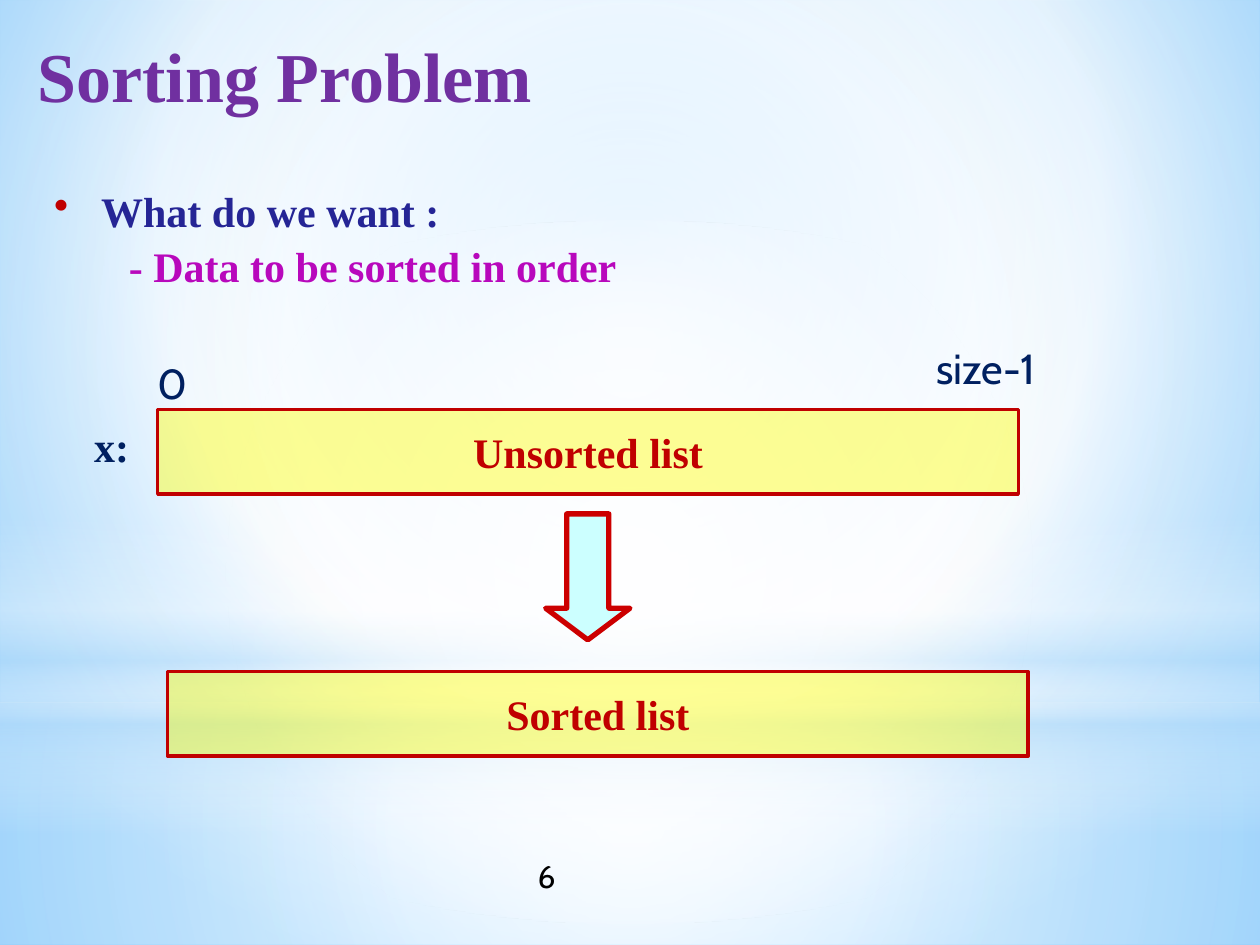
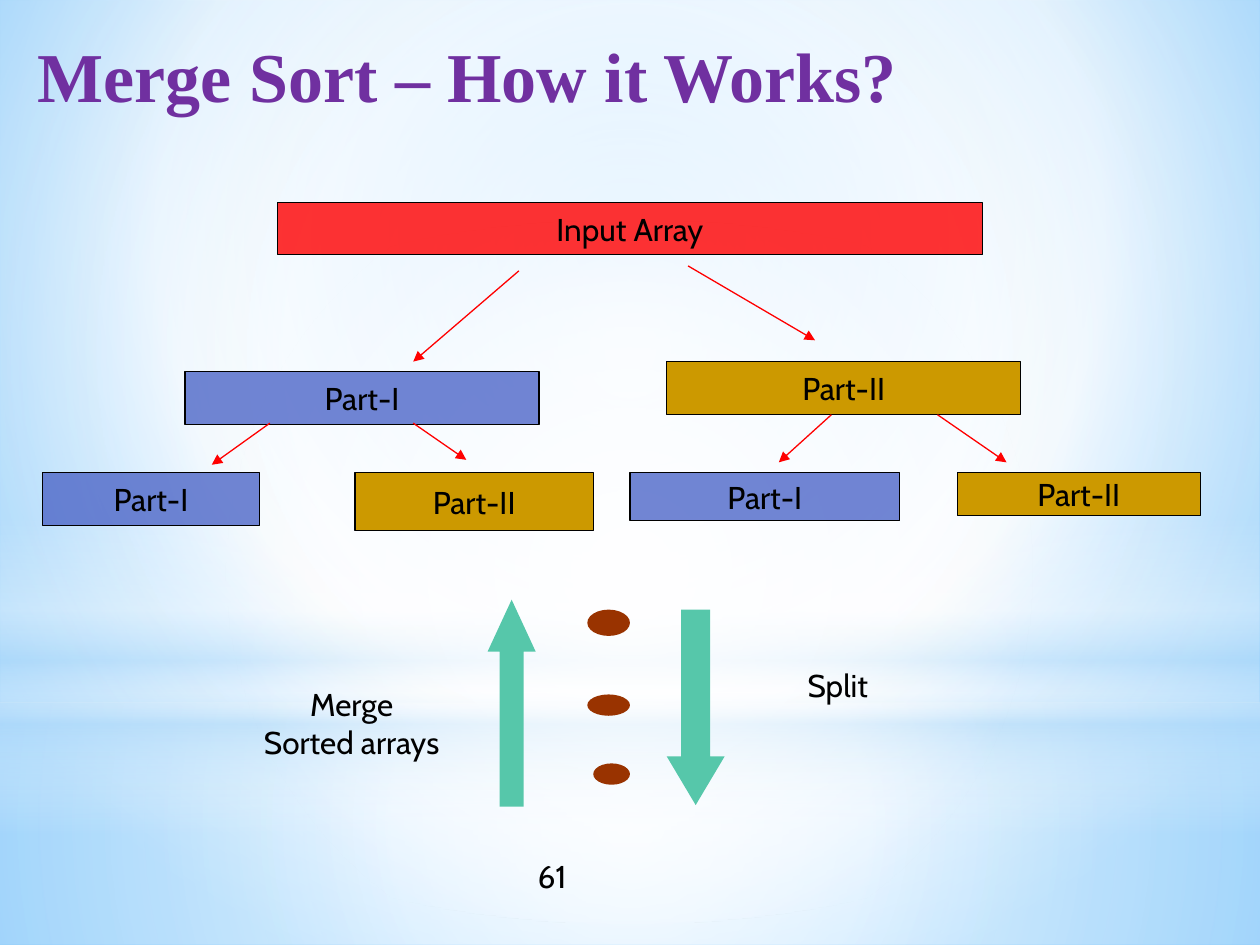
from dataclasses import dataclass
from typing import Optional

import lxml.etree
import pptx
import pptx.dml.color
import pptx.dml.fill
import pptx.enum.shapes
import pptx.enum.text
import pptx.oxml.ns
import pptx.presentation
import pptx.shapes.autoshape
import pptx.slide
import pptx.text.text
import pptx.util

Cm = pptx.util.Cm
Pt = pptx.util.Pt
RGBColor = pptx.dml.color.RGBColor
MSO_SHAPE = pptx.enum.shapes.MSO_SHAPE
PP_ALIGN = pptx.enum.text.PP_ALIGN
MSO_ANCHOR = pptx.enum.text.MSO_ANCHOR
qn = pptx.oxml.ns.qn

WHITE = RGBColor(0xFF, 0xFF, 0xFF)
BLACK = RGBColor(0, 0, 0)
SKY = RGBColor(0x9E, 0xD5, 0xFF)
DEEP_SKY = RGBColor(0x5B, 0xB9, 0xFF)
MIST = RGBColor(0xB4, 0xDC, 0xFA)
PURPLE = RGBColor(0x70, 0x30, 0xA0)
CRIMSON = RGBColor(0xC0, 0, 0)
ARROW_EDGE = RGBColor(0xCC, 0, 0)
ARROW_FILL = RGBColor(0xCC, 0xFF, 0xFF)
YELLOW = RGBColor(0xFF, 0xFF, 0)
INDIGO = RGBColor(0x25, 0x25, 0x95)
MAGENTA = RGBColor(0xB8, 0x08, 0xBC)
NAVY = RGBColor(0, 0x20, 0x60)
RED = RGBColor(0xFF, 0, 0)
BLUE = RGBColor(0x4E, 0x67, 0xC8)
GOLD = RGBColor(0xCC, 0x99, 0)
BROWN = RGBColor(0x99, 0x33, 0)
TEAL = RGBColor(0x56, 0xC7, 0xAA)

SERIF = "Times New Roman"
SANS = "Cabin"
WIDTH, HEIGHT = 25.4, 19.05
CENTRE = (50, 50, 50, 50)


@dataclass(frozen=True)
class Box:
    left: float
    top: float
    width: float
    height: float

    def place(self) -> tuple:
        return Cm(self.left), Cm(self.top), Cm(self.width), Cm(self.height)


@dataclass(frozen=True)
class Stop:
    position: int
    color: RGBColor
    opacity: int = 100


@dataclass(frozen=True)
class Glow:
    box: Box
    stops: tuple[Stop, ...]
    focus: Optional[tuple[int, int, int, int]] = CENTRE
    kind: MSO_SHAPE = MSO_SHAPE.RECTANGLE


@dataclass(frozen=True)
class Block:
    box: Box
    fill: RGBColor
    kind: MSO_SHAPE = MSO_SHAPE.RECTANGLE
    opacity: int = 100
    edge: Optional[RGBColor] = None
    edge_width: float = 0.75
    head: Optional[float] = None
    text: str = ""


@dataclass(frozen=True)
class Arrow:
    start: tuple[float, float]
    end: tuple[float, float]


GLOWS = (
    Glow(Box(0, 14.17, WIDTH, 4.88),
         (Stop(0, WHITE, 91), Stop(37, WHITE, 76), Stop(100, MIST, 79))),
    Glow(Box(0, 0, WIDTH, 14.17),
         (Stop(0, WHITE, 89), Stop(48, WHITE, 62), Stop(100, MIST, 79))),
    Glow(Box(0, 10.46, WIDTH, 6.35),
         (Stop(0, WHITE, 0), Stop(29, WHITE, 30), Stop(45, MIST, 40),
          Stop(55, WHITE, 26), Stop(65, MIST, 60), Stop(100, WHITE, 0)), None),
    Glow(Box(0, 4.45, WIDTH, 14.17), (Stop(0, WHITE), Stop(56, WHITE, 0)),
         kind=MSO_SHAPE.OVAL),
)


def part(box: Box, number: str) -> Block:
    first = number == "I"
    return Block(box, BLUE if first else GOLD, opacity=80 if first else 100,
                 edge=BLACK, text=f"Part-{number}")


def list_bar(box: Box, text: str) -> Block:
    return Block(box, YELLOW, opacity=42, edge=CRIMSON, edge_width=2, text=text)


ARRAY_BLOCKS = (
    Block(Box(5.59, 4.09, 14.22, 1.04), RED, opacity=80, edge=BLACK,
          text="Input Array"),
    part(Box(3.73, 7.49, 7.14, 1.07), "I"),
    part(Box(13.44, 7.29, 7.14, 1.07), "II"),
    part(Box(0.86, 9.53, 4.37, 1.07), "I"),
    part(Box(7.16, 9.53, 4.8, 1.17), "II"),
    part(Box(12.7, 9.53, 5.44, 0.97), "I"),
    part(Box(19.3, 9.53, 4.9, 0.86), "II"),
)
SPLIT_ARROWS = (
    Arrow((10.46, 5.46), (8.33, 7.29)), Arrow((13.87, 5.36), (16.43, 6.86)),
    Arrow((16.76, 8.36), (15.7, 9.32)), Arrow((18.9, 8.36), (20.29, 9.32)),
    Arrow((5.44, 8.53), (4.27, 9.37)), Arrow((8.33, 8.53), (9.4, 9.27)),
)
DIRECTIONS = (
    Block(Box(13.44, 12.29, 1.17, 3.94), TEAL, MSO_SHAPE.DOWN_ARROW, head=0.84),
    Block(Box(9.83, 12.09, 0.97, 4.17), TEAL, MSO_SHAPE.UP_ARROW, head=1.08),
)
DOTS = (Box(11.84, 12.29, 0.86, 0.53), Box(11.84, 14, 0.86, 0.43),
        Box(11.96, 15.39, 0.74, 0.43))


def set_opacity(color_element: lxml.etree._Element, percent: int) -> None:
    if percent < 100:
        lxml.etree.SubElement(color_element, qn("a:alpha"), val=str(percent * 1000))


def set_gradient(fill: pptx.dml.fill.FillFormat, owner: lxml.etree._Element,
                 stops: tuple[Stop, ...],
                 focus: Optional[tuple[int, int, int, int]]) -> None:
    fill.solid()
    solid = next(owner.iter(qn("a:solidFill")))
    gradient = lxml.etree.Element(qn("a:gradFill"), rotWithShape="1")
    stop_list = lxml.etree.SubElement(gradient, qn("a:gsLst"))
    for stop in stops:
        entry = lxml.etree.SubElement(stop_list, qn("a:gs"), pos=str(stop.position * 1000))
        color = lxml.etree.SubElement(entry, qn("a:srgbClr"), val=str(stop.color))
        set_opacity(color, stop.opacity)
    if focus:
        circle = lxml.etree.SubElement(gradient, qn("a:path"), path="circle")
        sides = {side: str(value * 1000) for side, value in zip("ltrb", focus)}
        lxml.etree.SubElement(circle, qn("a:fillToRect"), sides)
    else:
        lxml.etree.SubElement(gradient, qn("a:lin"), ang="5400000", scaled="0")
    solid.getparent().replace(solid, gradient)


def write(paragraph: pptx.text.text._Paragraph, text: str, *, size: float = 18,
          font: str = SANS, color: RGBColor = BLACK, bold: bool = False,
          align: PP_ALIGN = PP_ALIGN.LEFT) -> None:
    paragraph.alignment = align
    run = paragraph.add_run()
    run.text = text
    run.font.name = font
    run.font.size = Pt(size)
    run.font.bold = bold
    run.font.color.rgb = color


def add_label(slide: pptx.slide.Slide, box: Box, *lines: str, **text_format) -> None:
    frame = slide.shapes.add_textbox(*box.place()).text_frame
    frame.word_wrap = True
    for index, line in enumerate(lines):
        paragraph = frame.add_paragraph() if index else frame.paragraphs[0]
        write(paragraph, line, **text_format)


def add_plain_shape(slide: pptx.slide.Slide, kind: MSO_SHAPE,
                    box: Box) -> pptx.shapes.autoshape.Shape:
    shape = slide.shapes.add_shape(kind, *box.place())
    shape.shadow.inherit = False
    shape.line.fill.background()
    return shape


def add_block(slide: pptx.slide.Slide, block: Block, **text_format) -> None:
    shape = add_plain_shape(slide, block.kind, block.box)
    shape.fill.solid()
    shape.fill.fore_color.rgb = block.fill
    set_opacity(next(shape._element.spPr.iter(qn("a:srgbClr"))), block.opacity)
    if block.edge is not None:
        shape.line.color.rgb = block.edge
        shape.line.width = Pt(block.edge_width)
    if block.head is not None:
        shape.adjustments[0] = 0.5
        shape.adjustments[1] = block.head
    if block.text:
        frame = shape.text_frame
        frame.word_wrap = False
        frame.vertical_anchor = MSO_ANCHOR.MIDDLE
        write(frame.paragraphs[0], block.text, align=PP_ALIGN.CENTER, **text_format)


def add_arrow(slide: pptx.slide.Slide, arrow: Arrow) -> None:
    ends = [Cm(value) for value in arrow.start + arrow.end]
    connector = slide.shapes.add_connector(
        pptx.enum.shapes.MSO_CONNECTOR.STRAIGHT, *ends)
    connector.line.color.rgb = RED
    connector.line.width = Pt(0.75)
    lxml.etree.SubElement(connector.line._get_or_add_ln(), qn("a:tailEnd"),
                          type="triangle")
    lxml.etree.SubElement(connector._element.spPr, qn("a:effectLst"))


def add_titled_slide(deck: pptx.presentation.Presentation, heading: str,
                     number: str) -> pptx.slide.Slide:
    slide = deck.slides.add_slide(deck.slide_layouts[5])
    title = slide.shapes.title
    title.left, title.top, title.width, title.height = Box(0.51, 0.53, 24.21, 2.7).place()
    frame = title.text_frame
    frame.vertical_anchor = MSO_ANCHOR.TOP
    frame.auto_size = pptx.enum.text.MSO_AUTO_SIZE.NONE
    write(frame.paragraphs[0], heading, size=40, font=SERIF, color=PURPLE, bold=True)
    add_label(slide, Box(10.59, 17.15, 5.08, 1.02), number)
    return slide


def paint_master(deck: pptx.presentation.Presentation, slide: pptx.slide.Slide) -> None:
    master = deck.slide_master
    set_gradient(master.background.fill, master._element.cSld,
                 (Stop(0, SKY), Stop(60, WHITE), Stop(100, DEEP_SKY)), (20, 10, 20, 60))
    glows = [add_plain_shape(slide, glow.kind, glow.box) for glow in GLOWS]
    for index, (shape, glow) in enumerate(zip(glows, GLOWS)):
        set_gradient(shape.fill, shape._element.spPr, glow.stops, glow.focus)
        shape._element.nvSpPr.cNvPr.set("id", str(20 + index))
        master.shapes._spTree.insert(2 + index, shape._element)


def add_goal(slide: pptx.slide.Slide) -> None:
    frame = slide.shapes.add_textbox(*Box(0.84, 3.61, 23.93, 2.97).place()).text_frame
    frame.word_wrap = True
    question, answer = frame.paragraphs[0], frame.add_paragraph()
    for paragraph, text, color in ((question, "What do we want :", INDIGO),
                                   (answer, "- Data to be sorted in order", MAGENTA)):
        write(paragraph, text, size=24, font=SERIF, color=color, bold=True)
        paragraph.space_before = Pt(3)
    answer._p.get_or_add_pPr().set("marL", str(Cm(1.51)))
    bullet = question._p.get_or_add_pPr()
    bullet.set("marL", str(Cm(0.95)))
    bullet.set("indent", str(-Cm(0.95)))
    bullet_color = lxml.etree.SubElement(bullet, qn("a:buClr"))
    lxml.etree.SubElement(bullet_color, qn("a:srgbClr"), val=str(CRIMSON))
    lxml.etree.SubElement(bullet, qn("a:buChar"), char="•")


def build_sorting_problem(slide: pptx.slide.Slide) -> None:
    add_goal(slide)
    for bar in (list_bar(Box(3.18, 8.26, 17.35, 1.7), "Unsorted list"),
                list_bar(Box(3.38, 13.54, 17.35, 1.7), "Sorted list")):
        add_block(slide, bar, size=24, font=SERIF, color=CRIMSON, bold=True)
    add_label(slide, Box(1.65, 8.36, 1.22, 1.27), "x:",
              size=24, font=SERIF, color=NAVY, bold=True)
    add_label(slide, Box(2.92, 7.09, 0.99, 1.27), "0", size=24, color=NAVY)
    add_label(slide, Box(18.62, 6.78, 3.61, 1.27), "size-1", size=24, color=NAVY)
    add_block(slide, Block(Box(11, 10.36, 1.7, 2.54), ARROW_FILL, MSO_SHAPE.DOWN_ARROW,
                           edge=ARROW_EDGE, edge_width=3, head=0.375))


def build_merge_sort(slide: pptx.slide.Slide) -> None:
    dots = tuple(Block(box, BROWN, MSO_SHAPE.OVAL) for box in DOTS)
    for block in ARRAY_BLOCKS + DIRECTIONS + dots:
        add_block(slide, block)
    for arrow in SPLIT_ARROWS:
        add_arrow(slide, arrow)
    add_label(slide, Box(16.03, 13.31, 2.11, 1.27), "Split")
    add_label(slide, Box(4.93, 13.69, 4.32, 1.8), "Merge", "Sorted arrays",
              align=PP_ALIGN.CENTER)


def main() -> None:
    deck = pptx.Presentation()
    deck.slide_width, deck.slide_height = Cm(WIDTH), Cm(HEIGHT)
    sorting_problem = add_titled_slide(deck, "Sorting Problem", "6")
    paint_master(deck, sorting_problem)
    build_sorting_problem(sorting_problem)
    build_merge_sort(add_titled_slide(deck, "Merge Sort – How it Works?", "61"))
    deck.save("out.pptx")


if __name__ == "__main__":
    main()
